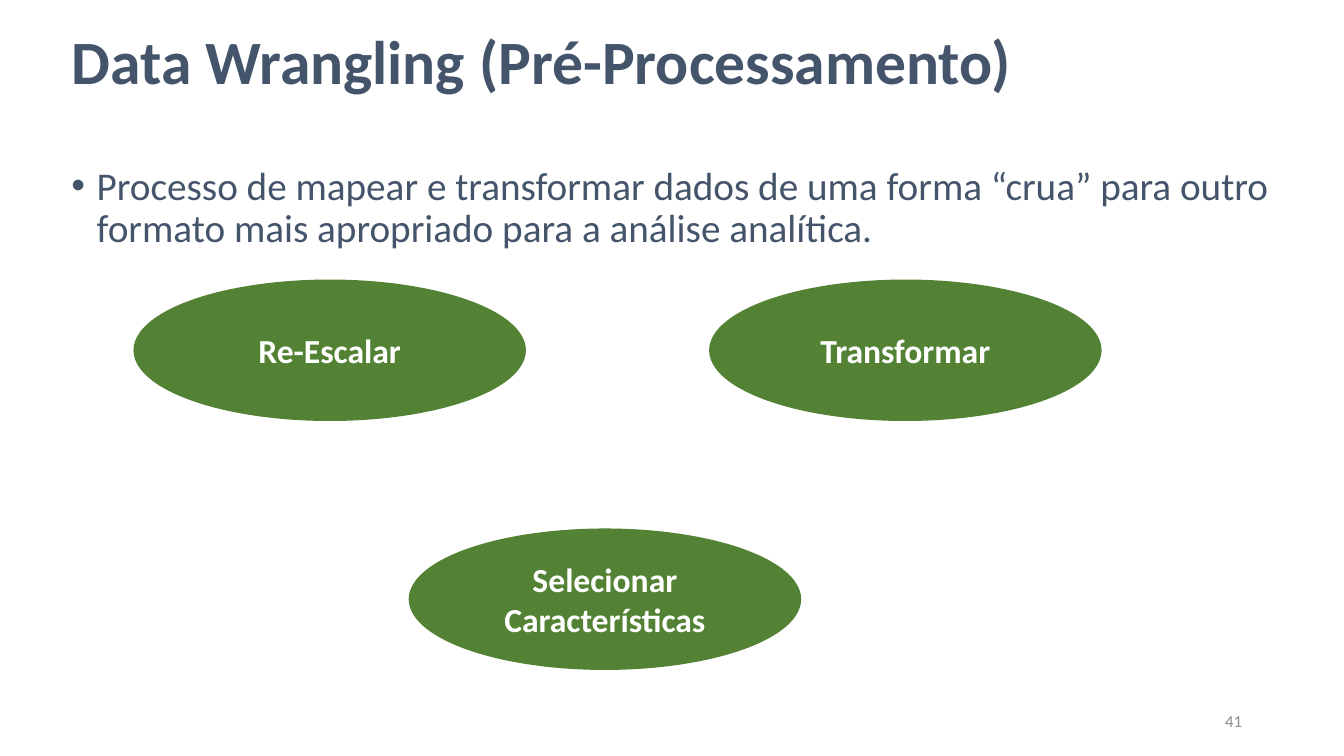
"""Build the data wrangling slide with its three green steps."""
from dataclasses import dataclass

from lxml.etree import SubElement
from pptx import Presentation
from pptx.dml.color import RGBColor
from pptx.enum.shapes import MSO_SHAPE
from pptx.enum.text import MSO_ANCHOR, MSO_AUTO_SIZE, PP_ALIGN
from pptx.oxml.ns import qn
from pptx.shapes.autoshape import Shape
from pptx.slide import Slide
from pptx.util import Inches, Pt

WIDE, HIGH = Inches(13.33), Inches(7.5)
HUES = {"slate": "44546A", "green": "548235", "white": "FFFFFF", "gray": "8C8C8C"}


@dataclass(frozen=True)
class Area:
    """Hold a place in percent of the slide's width and height."""
    left: float
    top: float
    width: float
    height: float

    def spans(self) -> dict[str, int]:
        """Turn the shares into lengths."""
        return {
            "left": round(WIDE * self.left / 100),
            "top": round(HIGH * self.top / 100),
            "width": round(WIDE * self.width / 100),
            "height": round(HIGH * self.height / 100),
        }


@dataclass(frozen=True)
class Style:
    """Hold the look of a text."""
    size: int
    hue: str
    bold: bool = False
    align: PP_ALIGN = PP_ALIGN.LEFT
    anchor: MSO_ANCHOR = MSO_ANCHOR.MIDDLE
    lead: float = 1.0
    bullet: bool = False


@dataclass(frozen=True)
class Step:
    """Hold one step and the corner of its oval."""
    text: str
    left: float
    top: float


TITLE = Style(44, "slate", bold=True, lead=0.9)
BODY = Style(28, "slate", anchor=MSO_ANCHOR.TOP, lead=0.9, bullet=True)
PAGE = Style(12, "gray", align=PP_ALIGN.RIGHT)
LABEL = Style(24, "white", bold=True, align=PP_ALIGN.CENTER)
OVAL_WIDTH, OVAL_HEIGHT = 29.1, 18.53
UPPER, LOWER = 37.07, 70
STEPS = (
    Step("Transformar", 52.81, UPPER),
    Step("Re-Escalar", 9.98, UPPER),
    Step("Selecionar Características", 30.46, LOWER),
)


def apply(target: object, values: dict[str, object]) -> None:
    """Set each value on the target."""
    for name, value in values.items():
        setattr(target, name, value)


def color(name: str) -> RGBColor:
    """Look up a color by name."""
    return RGBColor.from_string(HUES[name])


def write(shape: Shape, text: str, style: Style) -> None:
    """Put styled text in a shape."""
    frame = shape.text_frame
    apply(frame, {"text": text, "word_wrap": True, "auto_size": MSO_AUTO_SIZE.NONE,
                  "vertical_anchor": style.anchor})
    para = frame.paragraphs[0]
    if style.bullet:
        props = para._p.get_or_add_pPr()
        apply_indent = {"marL": Inches(0.25), "indent": -Inches(0.25)}
        for name, value in apply_indent.items():
            props.set(name, str(int(value)))
        SubElement(props, qn("a:buFont")).set("typeface", "Arial")
        SubElement(props, qn("a:buChar")).set("char", "•")
    apply(para, {"alignment": style.align, "line_spacing": style.lead})
    font = para.runs[0].font
    apply(font, {"name": "Calibri", "size": Pt(style.size), "bold": style.bold})
    font.color.rgb = color(style.hue)


def add_text(slide: Slide, area: Area, text: str, style: Style) -> None:
    """Add a text box."""
    write(slide.shapes.add_textbox(**area.spans()), text, style)


def add_step(slide: Slide, step: Step) -> None:
    """Add the oval of one step."""
    area = Area(step.left, step.top, OVAL_WIDTH, OVAL_HEIGHT)
    oval = slide.shapes.add_shape(MSO_SHAPE.OVAL, **area.spans())
    oval.shadow.inherit = False
    for fill in (oval.fill, oval.line.fill):
        fill.solid()
        fill.fore_color.rgb = color("green")
    oval.line.width = Pt(1)
    write(oval, step.text, LABEL)


def main() -> None:
    """Build and save the slide."""
    deck = Presentation()
    apply(deck, {"slide_width": WIDE, "slide_height": HIGH})
    slide = deck.slides.add_slide(deck.slide_layouts[5])
    title = slide.shapes.title
    apply(title, Area(4.58, 1.33, 92.72, 14.4).spans())
    write(title, "Data Wrangling (Pré-Processamento)", TITLE)
    add_text(slide, Area(4.58, 21.33, 92.72, 68.8),
             "Processo de mapear e transformar dados de uma forma “crua” para outro "
             "formato mais apropriado para a análise analítica.", BODY)
    add_text(slide, Area(70.67, 92.67, 22.5, 5.33), "41", PAGE)
    for step in STEPS:
        add_step(slide, step)
    deck.save("out.pptx")


if __name__ == "__main__":
    main()
